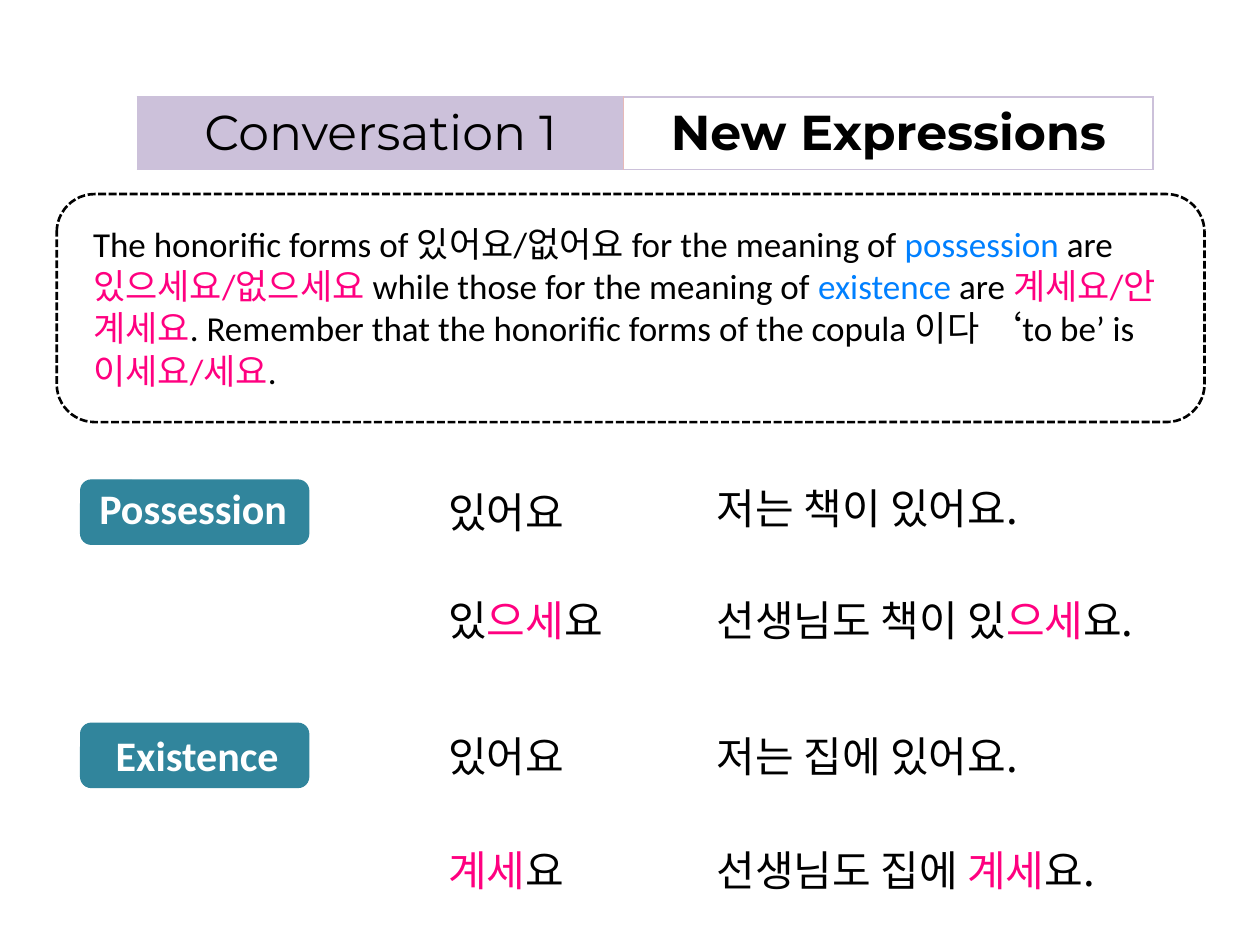
from lxml import etree
from pptx import Presentation
from pptx import util as u
from pptx.dml.color import RGBColor
from pptx.enum import dml, shapes, text
from pptx.oxml import ns

BLACK = RGBColor(0x00, 0x00, 0x00)
WHITE = RGBColor(0xFF, 0xFF, 0xFF)
PINK = RGBColor(0xFF, 0x00, 0x80)
BLUE = RGBColor(0x00, 0x80, 0xFF)
TEAL = RGBColor(0x31, 0x85, 0x9C)
LILAC = RGBColor(0xCC, 0xC1, 0xDA)
ROSE = RGBColor(0xE6, 0xB9, 0xB8)


class LessonSlide:
    latin_font = "Calibri"
    korean_font = "Noto Sans CJK KR"
    heading_font = "Montserrat"

    def __init__(self, slide):
        self.slide = slide

    def format_run(self, run, size, color, font, bold=False):
        run.font.size = u.Pt(size)
        run.font.bold = bold
        run.font.color.rgb = color
        run.font.name = font
        east_asian = etree.SubElement(run.font._element, ns.qn("a:ea"))
        east_asian.set("typeface", self.korean_font)

    def text_box(self, left, top, width, height, parts, size=24,
                 font=None, bold=False, wrap=False):
        """Add a text box from (text, color) parts."""
        box = self.slide.shapes.add_textbox(
            u.Inches(left), u.Inches(top), u.Inches(width), u.Inches(height))
        frame = box.text_frame
        frame.word_wrap = wrap
        frame.auto_size = text.MSO_AUTO_SIZE.SHAPE_TO_FIT_TEXT
        for words, color in parts:
            run = frame.paragraphs[0].add_run()
            run.text = words
            self.format_run(run, size, color, font or self.latin_font, bold)

    def rounded_box(self, left, top, width, height, line, line_width,
                    fill=None, dash=None):
        shape = self.slide.shapes.add_shape(
            shapes.MSO_SHAPE.ROUNDED_RECTANGLE,
            u.Inches(left), u.Inches(top), u.Inches(width), u.Inches(height))
        shape.shadow.inherit = False
        if fill is None:
            shape.fill.background()
        else:
            shape.fill.solid()
            shape.fill.fore_color.rgb = fill
        shape.line.color.rgb = line
        shape.line.width = u.Pt(line_width)
        if dash is not None:
            shape.line.dash_style = dash

    def cell_borders(self, cell, colors):
        properties = cell._tc.get_or_add_tcPr()
        for side, color in zip("LRTB", colors):
            line = etree.SubElement(
                properties, ns.qn(f"a:ln{side}"), w=str(u.Pt(1)))
            fill = etree.SubElement(line, ns.qn("a:solidFill"))
            etree.SubElement(fill, ns.qn("a:srgbClr"), val=str(color))

    def heading_table(self, left, top, widths, height, cells):
        """Add a one-row table from (text, bold, fill, border colors) cells."""
        table = self.slide.shapes.add_table(
            1, len(cells), u.Inches(left), u.Inches(top),
            u.Inches(sum(widths)), u.Inches(height)).table
        table.first_row = False
        table.horz_banding = False
        for index, (words, bold, fill, borders) in enumerate(cells):
            table.columns[index].width = u.Inches(widths[index])
            cell = table.cell(0, index)
            self.cell_borders(cell, borders)
            if fill is None:
                cell.fill.background()
            else:
                cell.fill.solid()
                cell.fill.fore_color.rgb = fill
            cell.text_frame.text = words
            paragraph = cell.text_frame.paragraphs[0]
            paragraph.alignment = text.PP_ALIGN.CENTER
            self.format_run(
                paragraph.runs[0], 28, BLACK, self.heading_font, bold)


def main():
    presentation = Presentation()
    presentation.slide_width = u.Inches(10)
    presentation.slide_height = u.Inches(7.5)
    blank_layout = presentation.slide_layouts[6]
    lesson = LessonSlide(presentation.slides.add_slide(blank_layout))

    # Heading
    lesson.heading_table(1.09, 0.77, (3.86, 4.2), 0.55, [
        ("Conversation 1", False, LILAC, (LILAC, ROSE, LILAC, LILAC)),
        ("New Expressions", True, None, (ROSE, LILAC, LILAC, LILAC)),
    ])

    # Explanation in a dashed frame
    lesson.text_box(0.64, 1.72, 8.73, 1.45, [
        ("The honorific forms of 있어요/없어요 for the meaning of ", BLACK),
        ("possession", BLUE),
        (" are ", BLACK),
        ("있으세요/없으세요 ", PINK),
        ("while those for the meaning of ", BLACK),
        ("existence", BLUE),
        (" are ", BLACK),
        ("계세요/안 계세요", PINK),
        (". Remember that the honorific forms of the copula 이다 ‘to be’ is ",
         BLACK),
        ("이세요/세요", PINK),
        (".", BLACK),
    ], size=20, wrap=True)
    lesson.rounded_box(0.45, 1.54, 9.11, 1.81, BLACK, 1.5,
                       dash=dml.MSO_LINE.SQUARE_DOT)

    # Section labels
    labels = [
        ("Possession", 3.81, 0.69, 3.78, 1.71),
        ("Existence", 5.74, 0.82, 5.74, 1.51),
    ]
    for words, box_top, left, top, width in labels:
        lesson.rounded_box(0.64, box_top, 1.81, 0.51, TEAL, 0.75, fill=TEAL)
        lesson.text_box(left, top, width, 0.5, [(words, WHITE)], bold=True)

    # Verb forms and example sentences: left, top, width, parts
    form_left, example_left = 3.46, 5.59
    phrases = [
        (form_left, 3.81, 1.15, [("있어요", BLACK)]),
        (form_left, 4.67, 1.47,
         [("있", BLACK), ("으세", PINK), ("요", BLACK)]),
        (form_left, 5.75, 1.15, [("있어요", BLACK)]),
        (form_left, 6.65, 1.15, [("계세", PINK), ("요", BLACK)]),
        (example_left, 3.78, 2.71, [("저는 책이 있어요.", BLACK)]),
        (example_left, 4.67, 3.66,
         [("선생님도 책이 있", BLACK), ("으세", PINK), ("요.", BLACK)]),
        (example_left, 5.75, 2.71, [("저는 집에 있어요.", BLACK)]),
        (example_left, 6.65, 3.34,
         [("선생님도 집에 ", BLACK), ("계세", PINK), ("요.", BLACK)]),
    ]
    for left, top, width, parts in phrases:
        lesson.text_box(left, top, width, 0.5, parts, font=lesson.korean_font)

    presentation.save("out.pptx")


if __name__ == "__main__":
    main()
